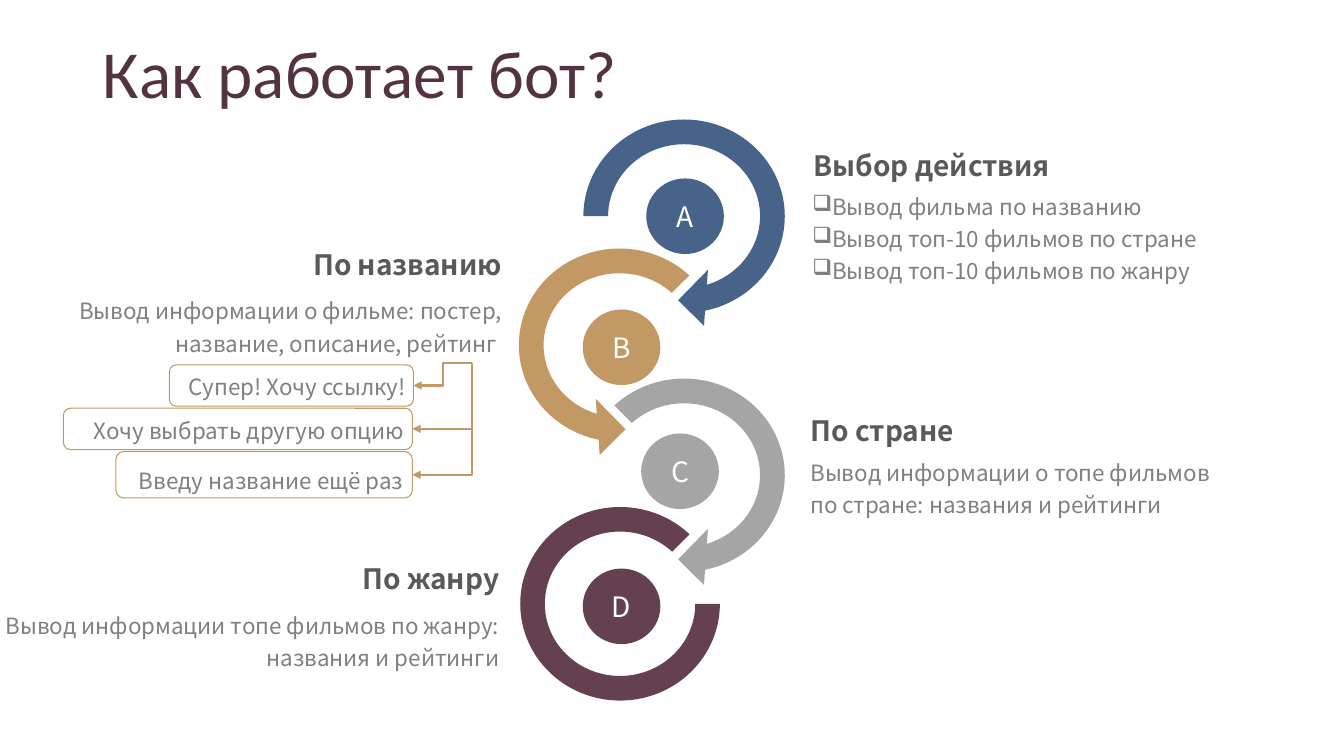
from lxml.etree import SubElement
from pptx import Presentation
from pptx.dml.color import RGBColor
from pptx.enum.shapes import MSO_CONNECTOR as Link, MSO_SHAPE as Shape
from pptx.enum.text import MSO_ANCHOR as Anchor, MSO_AUTO_SIZE as Fit, PP_ALIGN as Align
from pptx.oxml.ns import qn
from pptx.util import Inches, Pt

BLUE = RGBColor(0x48, 0x63, 0x89)
TAN = RGBColor(0xC2, 0x98, 0x65)
SILVER = RGBColor(0xA5, 0xA5, 0xA5)
PLUM = RGBColor(0x65, 0x40, 0x51)
TITLE_COLOR = RGBColor(0x53, 0x33, 0x41)
HEADING_COLOR = RGBColor(0x59, 0x59, 0x59)
BODY_COLOR = RGBColor(0x80, 0x80, 0x80)
WHITE = RGBColor(0xFF, 0xFF, 0xFF)
FONT = "Noto Sans CJK SC"

TITLE = "Как работает бот?"

ARROW_SIZE = (2.31, 2.23)
ARC_SIZE = (1.98, 1.92)
BADGE_SIZE = (0.77, 0.75)
STEPS = [
    ("C", SILVER, Shape.CIRCULAR_ARROW, (5.63, 3.6), ARROW_SIZE,
     (0.11, 11.423, 45, 135, 0.125), (6.36, 4.3)),
    ("D", PLUM, Shape.BLOCK_ARC, (5.16, 5.03), ARC_SIZE,
     (0, 189, 0.127), (5.78, 5.64)),
    ("B", TAN, Shape.LEFT_CIRCULAR_ARROW, (4.99, 2.31), ARROW_SIZE,
     (0.11, 11.423, 63, 189, 0.125), (5.78, 3.07)),
    ("A", BLUE, Shape.CIRCULAR_ARROW, (5.63, 1.03), ARROW_SIZE,
     (0.11, 11.423, 45, 108, 0.125), (6.41, 1.77)),
]

SECTIONS = [
    ("Выбор действия", (7.97, 1.36, 3.93, 0.47), Align.JUSTIFY,
     ["Вывод фильма по названию",
      "Вывод топ-10 фильмов по стране",
      "Вывод топ-10 фильмов по жанру"],
     (7.96, 1.81, 4.76, 1.04), Align.LEFT, "❑"),
    ("По названию", (1.14, 2.34, 3.94, 0.47), Align.RIGHT,
     ["Вывод информации о фильме: постер, название, описание, рейтинг "],
     (-0.04, 2.85, 5.12, 0.72), Align.RIGHT, None),
    ("По стране", (7.94, 3.99, 3.65, 0.47), Align.JUSTIFY,
     ["Вывод информации о топе фильмов по стране: названия и рейтинги"],
     (7.94, 4.45, 4.43, 0.72), Align.LEFT, None),
    ("По жанру", (1.11, 5.46, 3.94, 0.47), Align.RIGHT,
     ["Вывод информации топе фильмов по жанру: названия и рейтинги"],
     (-0.07, 5.97, 5.12, 0.72), Align.RIGHT, None),
]

REPLIES = [
    ("Супер! Хочу ссылку!", (1.67, 3.6, 2.45, 0.4), (1.68, 3.62, 2.42, 0.41)),
    ("Хочу выбрать другую опцию", (0.56, 4.04, 3.55, 0.4), (0.63, 4.05, 3.46, 0.41)),
    ("Введу название ещё раз", (1.15, 4.53, 2.95, 0.4), (1.15, 4.48, 2.94, 0.46)),
]
BRANCH = (4.68, 3.6)


def write(shape, lines, size=16, color=BODY_COLOR, font=FONT, bold=False,
          align=Align.LEFT, spacing=1.2, anchor=Anchor.TOP, fit=Fit.NONE, bullet=None):
    frame = shape.text_frame
    frame.word_wrap = True
    frame.auto_size = fit
    frame.vertical_anchor = anchor
    for index, line in enumerate(lines):
        para = frame.add_paragraph() if index else frame.paragraphs[0]
        para.alignment = align
        para.line_spacing = spacing
        span = para.add_run()
        span.text = line
        span.font.size = Pt(size)
        span.font.name = font
        span.font.bold = bold
        span.font.color.rgb = color
        if bullet:
            properties = para._p.get_or_add_pPr()
            properties.set("marL", str(Inches(0.19)))
            properties.set("indent", str(Inches(-0.19)))
            SubElement(properties, qn("a:buChar")).set("char", bullet)


def add_text(page, place, lines, **style):
    box = page.shapes.add_textbox(*map(Inches, place))
    write(box, lines, fit=Fit.SHAPE_TO_FIT_TEXT, **style)


def add_figure(page, kind, place, fill=None, line=None):
    shape = page.shapes.add_shape(kind, *map(Inches, place))
    shape.shadow.inherit = False
    if fill is None:
        shape.fill.background()
    else:
        shape.fill.solid()
        shape.fill.fore_color.rgb = fill
    if line is None:
        shape.line.fill.background()
    else:
        shape.line.color.rgb = line
        shape.line.width = Pt(0.75)
    return shape


def add_branch(page, start, end, single_bend):
    (x1, y1), (x2, y2) = start, end
    if single_bend:
        middle_x, middle_y = (x1 + x2) / 2, (y1 + y2) / 2
        half_run, half_drop = (x1 - x2) / 2, (y2 - y1) / 2
        x1, x2 = middle_x - half_drop, middle_x + half_drop
        y1, y2 = middle_y - half_run, middle_y + half_run
    link = page.shapes.add_connector(Link.ELBOW, *map(Inches, (x1, y1, x2, y2)))
    link.line.color.rgb = TAN
    link.line.width = Pt(1.5)
    properties = link._element.spPr
    if single_bend:
        properties.find(qn("a:xfrm")).set("rot", str(90 * 60000))
        properties.find(qn("a:prstGeom")).set("prst", "bentConnector2")
    SubElement(link.line._get_or_add_ln(), qn("a:tailEnd")).set("type", "triangle")
    SubElement(properties, qn("a:effectLst"))


def main():
    deck = Presentation()
    deck.slide_width, deck.slide_height = Inches(13.33), Inches(7.5)
    page = deck.slides.add_slide(deck.slide_layouts[5])

    title = page.shapes.title
    title.left, title.top, title.width, title.height = map(Inches, (0.92, 0.4, 11.5, 0.73))
    write(title, [TITLE], size=48, color=TITLE_COLOR, font="Calibri",
          spacing=0.9, anchor=Anchor.MIDDLE)

    for letter, color, kind, corner, size, bends, badge_corner in STEPS:
        ring = add_figure(page, kind, corner + size, fill=color)
        for index, bend in enumerate(bends):
            ring.adjustments[index] = bend
        badge = add_figure(page, Shape.OVAL, badge_corner + BADGE_SIZE, fill=color)
        write(badge, [letter], size=20, color=WHITE, align=Align.CENTER,
              spacing=1.0, anchor=Anchor.MIDDLE)

    for heading, heading_place, heading_align, lines, place, align, bullet in SECTIONS:
        add_text(page, place, lines, align=align, bullet=bullet)
        add_text(page, heading_place, [heading], size=20, color=HEADING_COLOR,
                 bold=True, align=heading_align)

    for index, (reply, text_place, frame_place) in enumerate(REPLIES):
        add_text(page, text_place, [reply], align=Align.RIGHT)
        add_figure(page, Shape.ROUNDED_RECTANGLE, frame_place, line=TAN)
        left, top, width, height = frame_place
        add_branch(page, BRANCH, (left + width, top + height / 2), single_bend=index > 0)

    deck.save("out.pptx")


if __name__ == "__main__":
    main()
